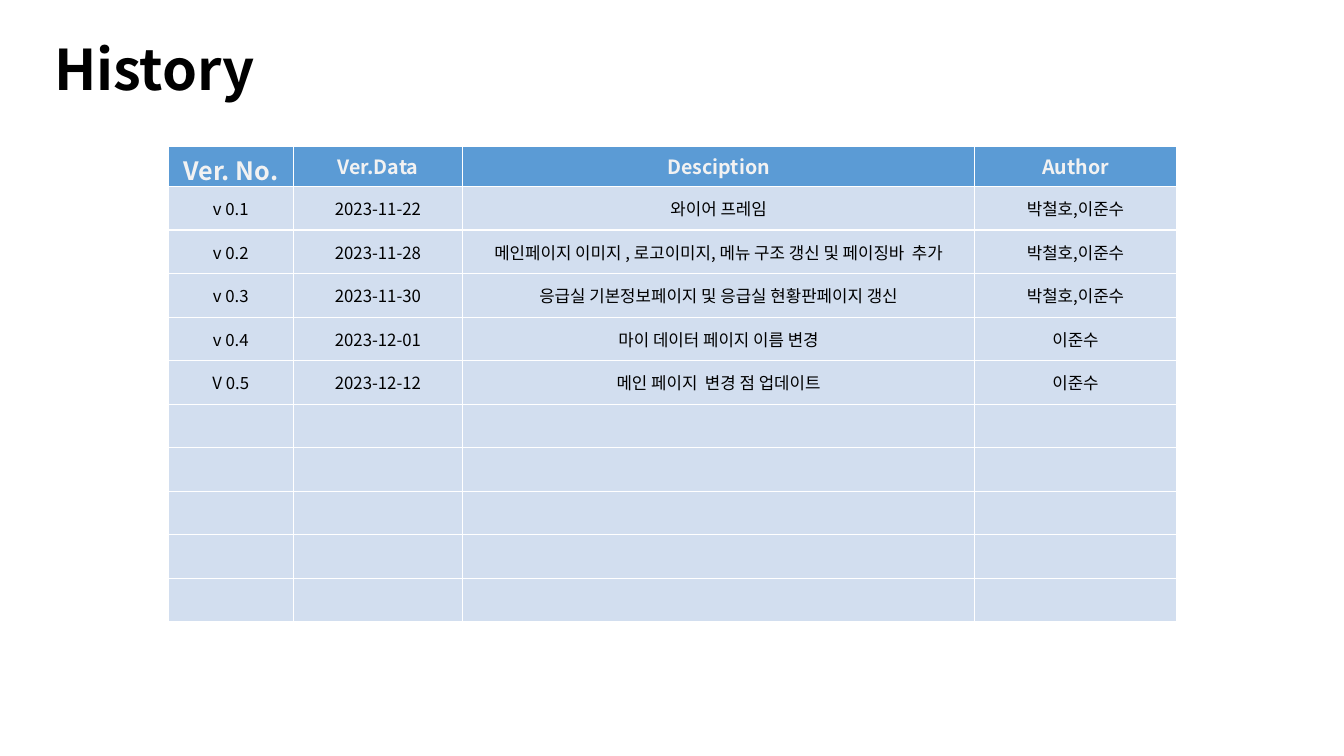
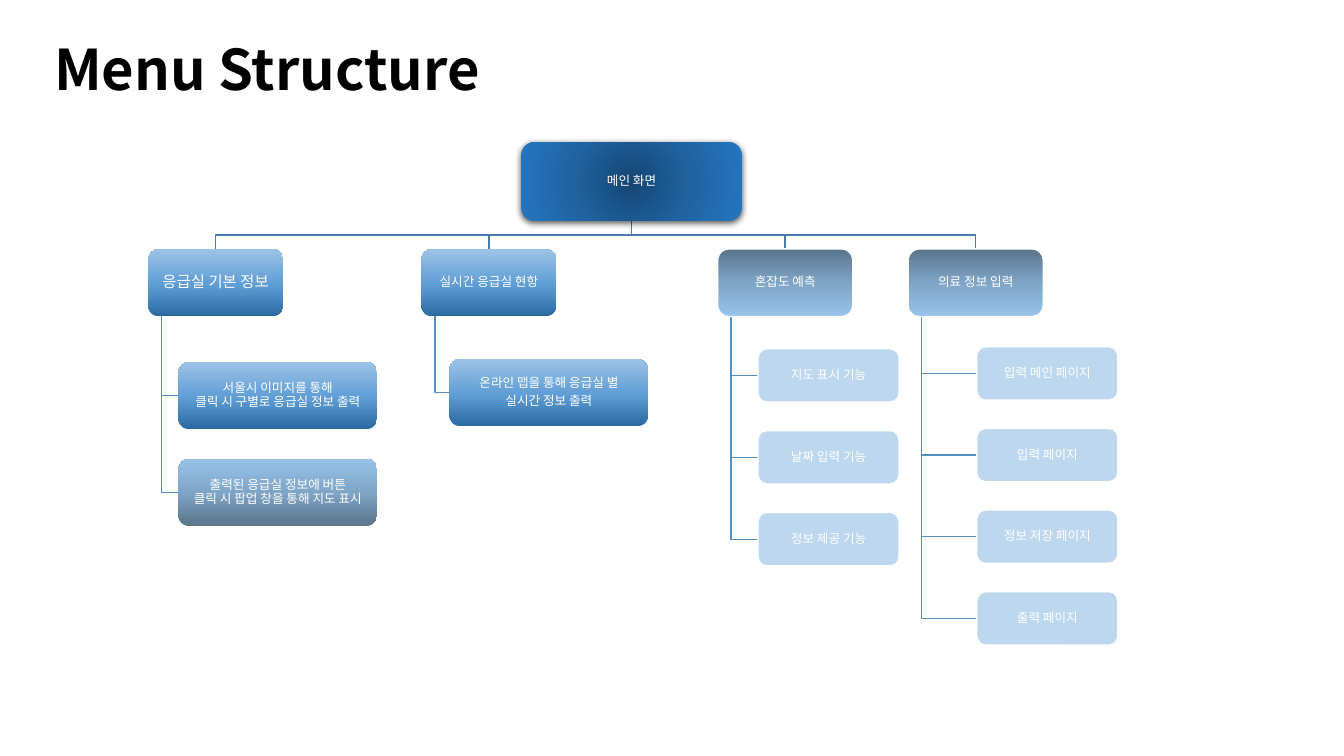
from dataclasses import dataclass
from typing import Optional

from lxml import etree
from pptx import Presentation
from pptx import util as u
from pptx.dml.color import RGBColor
from pptx.enum import shapes, text
from pptx.oxml.ns import qn

FONT = "Noto Sans CJK KR"
BLACK = RGBColor(0x00, 0x00, 0x00)
WHITE = RGBColor(0xFF, 0xFF, 0xFF)
OFF_WHITE = RGBColor(0xF2, 0xF2, 0xF2)
HEADER_BLUE = RGBColor(0x5B, 0x9B, 0xD5)
ROW_BLUE = RGBColor(0xD2, 0xDE, 0xEF)
PALE_BLUE = RGBColor(0xBD, 0xD7, 0xEE)
TRUNK_LINE = RGBColor(0x49, 0x7C, 0xAB)
SPINE_LINE = RGBColor(0x53, 0x8D, 0xC1)
ROOT_STOPS = ((0, RGBColor(0x16, 0x46, 0x72)), (50, RGBColor(0x1F, 0x63, 0xA2)),
              (100, RGBColor(0x24, 0x76, 0xC0)))
BLUE_STOPS = ((0, RGBColor(0x2A, 0x69, 0xA2)), (48, RGBColor(0x60, 0x9E, 0xD6)),
              (100, RGBColor(0x9D, 0xC3, 0xE6)))
SLATE_STOPS = ((0, RGBColor(0x5A, 0x74, 0x8B)), (50, RGBColor(0x7F, 0xA5, 0xC6)),
               (100, RGBColor(0x97, 0xC3, 0xEB)))

UNIT = u.Inches(0.1)
SLIDE_COLS, SLIDE_ROWS = 133.33, 75
SPINE_SHARE = 0.1
TRUNK_ROW = 23.3


@dataclass(frozen=True)
class Paint:
    stops: tuple = ()
    angle: Optional[int] = None
    outlined: bool = False


ROOT_PAINT = Paint(ROOT_STOPS)
BLUE = Paint(BLUE_STOPS, 270)
SLATE_UP = Paint(SLATE_STOPS, 270)
SLATE_DOWN = Paint(SLATE_STOPS, 90, True)
PALE = Paint(outlined=True)


@dataclass(frozen=True)
class Box:
    label: str
    left: float
    top: float
    width: float
    height: float
    paint: Paint
    size: int = 9

    @property
    def center(self) -> float:
        return self.left + self.width / 2

    @property
    def middle(self) -> float:
        return self.top + self.height / 2

    @property
    def bottom(self) -> float:
        return self.top + self.height


@dataclass(frozen=True)
class Branch:
    head: Box
    leaves: list


def stack(labels: list, paints: list, left: float, top: float,
          width: float, height: float, step: float) -> list:
    return [Box(label, left, top + i * step, width, height, paint)
            for i, (label, paint) in enumerate(zip(labels, paints))]


def head(label: str, left: float, paint: Paint, size: int = 9) -> Box:
    return Box(label, left, 24.7, 13.4, 6.7, paint, size)


MAIN_SCREEN = Box("메인 화면", 51.7, 14.1, 21.9, 7.8, ROOT_PAINT)
BRANCHES = [
    Branch(head("응급실 기본 정보", 14.7, BLUE, 11),
           stack(["서울시 이미지를 통해\v클릭 시 구별로 응급실 정보 출력",
                  "출력된 응급실 정보에 버튼\v클릭 시 팝업 창을 통해 지도 표시"],
                 [BLUE, SLATE_UP], 17.7, 35.9, 19.7, 6.7, 9.6)),
    Branch(head("실시간 응급실 현항", 41.8, BLUE),
           stack(["온라인 맵을 통해 응급실 별\n실시간 정보 출력"],
                 [BLUE], 44.6, 35.6, 19.7, 6.7, 9.6)),
    Branch(head("혼잡도 예측", 71.2, SLATE_DOWN),
           stack(["지도 표시 기능", "날짜 입력 기능", "정보 제공 기능"],
                 [PALE] * 3, 75.2, 34.6, 14, 5.3, 8.12)),
    Branch(head("의료 정보 입력", 90.1, SLATE_DOWN),
           stack(["입력 메인 페이지", "입력 페이지", "정보 저장 페이지", "출력 페이지"],
                 [PALE] * 4, 96.9, 34.4, 14, 5.3, 8.1)),
]

COLUMN_WIDTHS = (12.4, 16.8, 50.8, 20)
HEADER_HEIGHT, ROW_HEIGHT, ENTRY_ROWS = 3.6, 4.32, 10
HEADINGS = ("Ver. No.", "Ver.Data", "Desciption", "Author")
ENTRIES = [
    ("v 0.1", "2023-11-22", "와이어 프레임", "박철호,이준수"),
    ("v 0.2", "2023-11-28",
     "메인페이지 이미지 , 로고이미지, 메뉴 구조 갱신 및 페이징바  추가", "박철호,이준수"),
    ("v 0.3", "2023-11-30", "응급실 기본정보페이지 및 응급실 현황판페이지 갱신", "박철호,이준수"),
    ("v 0.4", "2023-12-01", "마이 데이터 페이지 이름 변경", "이준수"),
    ("V 0.5", "2023-12-12", "메인 페이지  변경 점 업데이트", "이준수"),
]


def grid(units: float) -> u.Emu:
    return u.Emu(round(units * UNIT))


def style(paragraph, size: int, color: RGBColor, bold: bool = False) -> None:
    font = paragraph.font
    font.name, font.size, font.bold = FONT, u.Pt(size), bold
    font.color.rgb = color
    latin = paragraph._p.pPr.find(qn("a:defRPr")).find(qn("a:latin"))
    east_asian = etree.Element(qn("a:ea"), typeface=FONT)
    latin.addnext(east_asian)


def add_titled_slide(deck, title: str, width: float):
    slide = deck.slides.add_slide(deck.slide_layouts[6])
    frame = slide.shapes.add_textbox(grid(4.4), grid(2.9), grid(width), grid(7.7)).text_frame
    frame.word_wrap = False
    frame.auto_size = text.MSO_AUTO_SIZE.SHAPE_TO_FIT_TEXT
    frame.text = title
    style(frame.paragraphs[0], 40, BLACK, True)
    return slide


def add_color(parent, color: RGBColor):
    return etree.SubElement(parent, qn("a:srgbClr"), val=str(color))


def paint_gradient(shape, paint: Paint) -> None:
    shape.fill.gradient()
    gradient = shape._element.spPr.find(qn("a:gradFill"))
    for child in list(gradient):
        gradient.remove(child)
    stops = etree.SubElement(gradient, qn("a:gsLst"))
    for position, color in paint.stops:
        add_color(etree.SubElement(stops, qn("a:gs"), pos=str(position * 1000)), color)
    if paint.angle is None:
        focus = etree.SubElement(gradient, qn("a:path"), {"path": "circle"})
        etree.SubElement(focus, qn("a:fillToRect"),
                         {side: "50000" for side in ("l", "t", "r", "b")})
    else:
        etree.SubElement(gradient, qn("a:lin"), ang=str(paint.angle * 60000), scaled="0")


def cast_shadow(shape) -> None:
    effects = shape._element.spPr.find(qn("a:effectLst"))
    shadow = etree.SubElement(effects, qn("a:outerShdw"), blurRad=str(u.Pt(4.5)),
                              dist=str(u.Pt(1.5)), dir="5400000", rotWithShape="0")
    etree.SubElement(add_color(shadow, BLACK), qn("a:alpha"), val="63000")


def add_box(slide, box: Box):
    shape = slide.shapes.add_shape(
        shapes.MSO_SHAPE.ROUNDED_RECTANGLE,
        *map(grid, (box.left, box.top, box.width, box.height)))
    shape.shadow.inherit = False
    if box.paint.stops:
        paint_gradient(shape, box.paint)
    else:
        shape.fill.solid()
        shape.fill.fore_color.rgb = PALE_BLUE
    if box.paint.outlined:
        shape.line.color.rgb = WHITE
        shape.line.width = u.Pt(1)
    else:
        shape.line.fill.background()
    frame = shape.text_frame
    frame.word_wrap = True
    frame.vertical_anchor = text.MSO_ANCHOR.MIDDLE
    frame.margin_left = frame.margin_right = u.Inches(0.01)
    frame.margin_top = frame.margin_bottom = u.Inches(0.01)
    frame.text = box.label
    for paragraph in frame.paragraphs:
        paragraph.alignment = text.PP_ALIGN.CENTER
        paragraph.line_spacing = 0.9
        paragraph.space_after = u.Pt(round(box.size * 0.35))
        style(paragraph, box.size, WHITE)
    return shape


def add_route(slide, points: list, color: RGBColor) -> None:
    start, *rest = [(grid(x), grid(y)) for x, y in points]
    builder = slide.shapes.build_freeform(*start)
    builder.add_line_segments(rest, close=False)
    route = builder.convert_to_shape()
    route.shadow.inherit = False
    route.fill.background()
    route.line.color.rgb = color
    route.line.width = u.Pt(1)


def add_branch_routes(slide, branch: Branch) -> None:
    top = branch.head
    add_route(slide, [(MAIN_SCREEN.center, MAIN_SCREEN.bottom),
                      (MAIN_SCREEN.center, TRUNK_ROW),
                      (top.center, TRUNK_ROW), (top.center, top.top)], TRUNK_LINE)
    spine = top.left + top.width * SPINE_SHARE
    for leaf in branch.leaves:
        add_route(slide, [(spine, top.bottom), (spine, leaf.middle),
                          (leaf.left, leaf.middle)], SPINE_LINE)


def fill_cell(cell, content: str, fill: RGBColor, size: int,
              color: RGBColor, bold: bool) -> None:
    properties = cell._tc.get_or_add_tcPr()
    for side in ("lnL", "lnR", "lnT", "lnB"):
        border = etree.SubElement(properties, qn(f"a:{side}"), w=str(u.Pt(1)))
        add_color(etree.SubElement(border, qn("a:solidFill")), WHITE)
    cell.fill.solid()
    cell.fill.fore_color.rgb = fill
    cell.text = content
    paragraph = cell.text_frame.paragraphs[0]
    paragraph.alignment = text.PP_ALIGN.CENTER
    style(paragraph, size, color, bold)


def add_history_table(slide) -> None:
    history = slide.shapes.add_table(
        ENTRY_ROWS + 1, len(HEADINGS), grid(16.7), grid(14.5),
        grid(sum(COLUMN_WIDTHS)), grid(HEADER_HEIGHT + ENTRY_ROWS * ROW_HEIGHT)).table
    history.horz_banding = False
    for column, width in zip(history.columns, COLUMN_WIDTHS):
        column.width = grid(width)
    for i, row in enumerate(history.rows):
        row.height = grid(ROW_HEIGHT if i else HEADER_HEIGHT)
    for i, heading in enumerate(HEADINGS):
        fill_cell(history.cell(0, i), heading, HEADER_BLUE, 14 if i else 18, OFF_WHITE, True)
    blank = ("",) * len(HEADINGS)
    for i, entry in enumerate(ENTRIES + [blank] * (ENTRY_ROWS - len(ENTRIES)), start=1):
        for j, content in enumerate(entry):
            cell = history.cell(i, j)
            fill_cell(cell, content, ROW_BLUE, 12, BLACK, False)
            cell.vertical_anchor = text.MSO_ANCHOR.MIDDLE


def add_menu_tree(slide) -> None:
    for branch in BRANCHES:
        add_branch_routes(slide, branch)
    cast_shadow(add_box(slide, MAIN_SCREEN))
    for branch in BRANCHES:
        for box in (branch.head, *branch.leaves):
            add_box(slide, box)


def main() -> None:
    deck = Presentation()
    deck.slide_width, deck.slide_height = grid(SLIDE_COLS), grid(SLIDE_ROWS)
    add_history_table(add_titled_slide(deck, "History", 24.6))
    add_menu_tree(add_titled_slide(deck, "Menu Structure", 67.3))
    deck.save("out.pptx")


if __name__ == "__main__":
    main()
